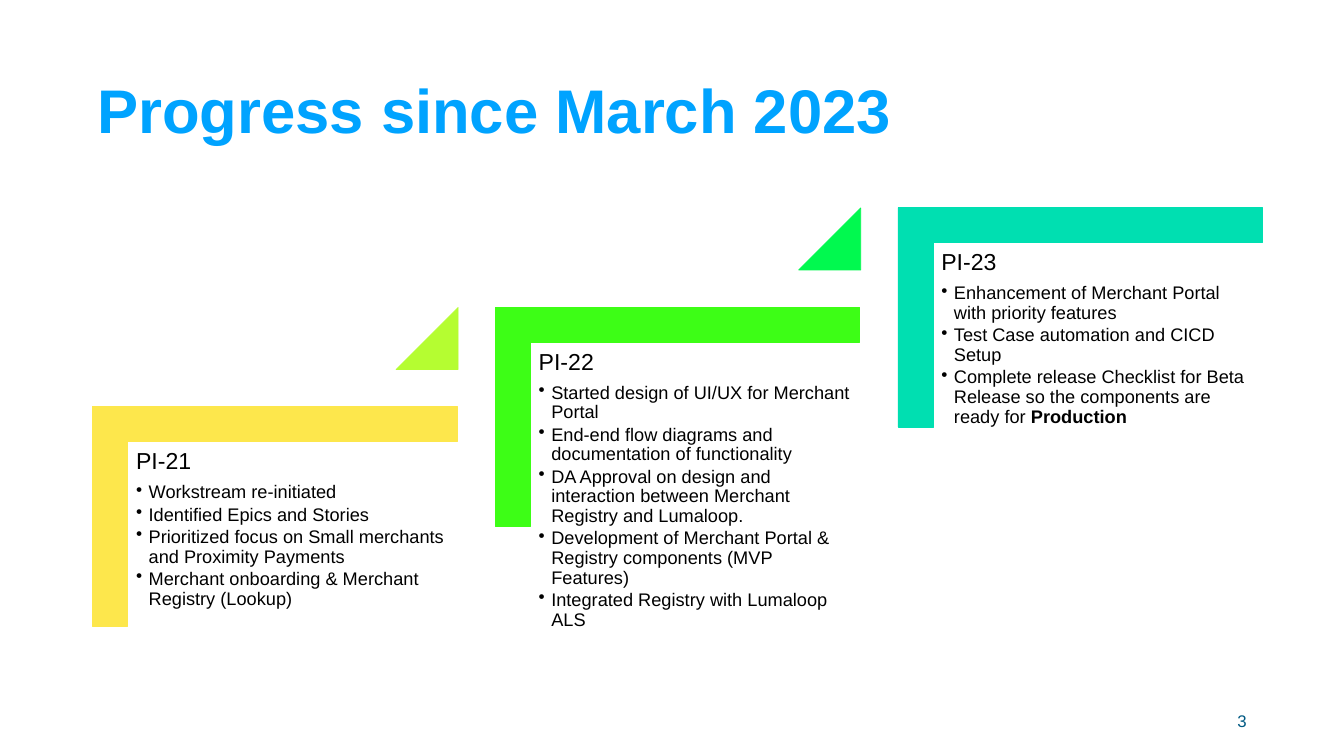
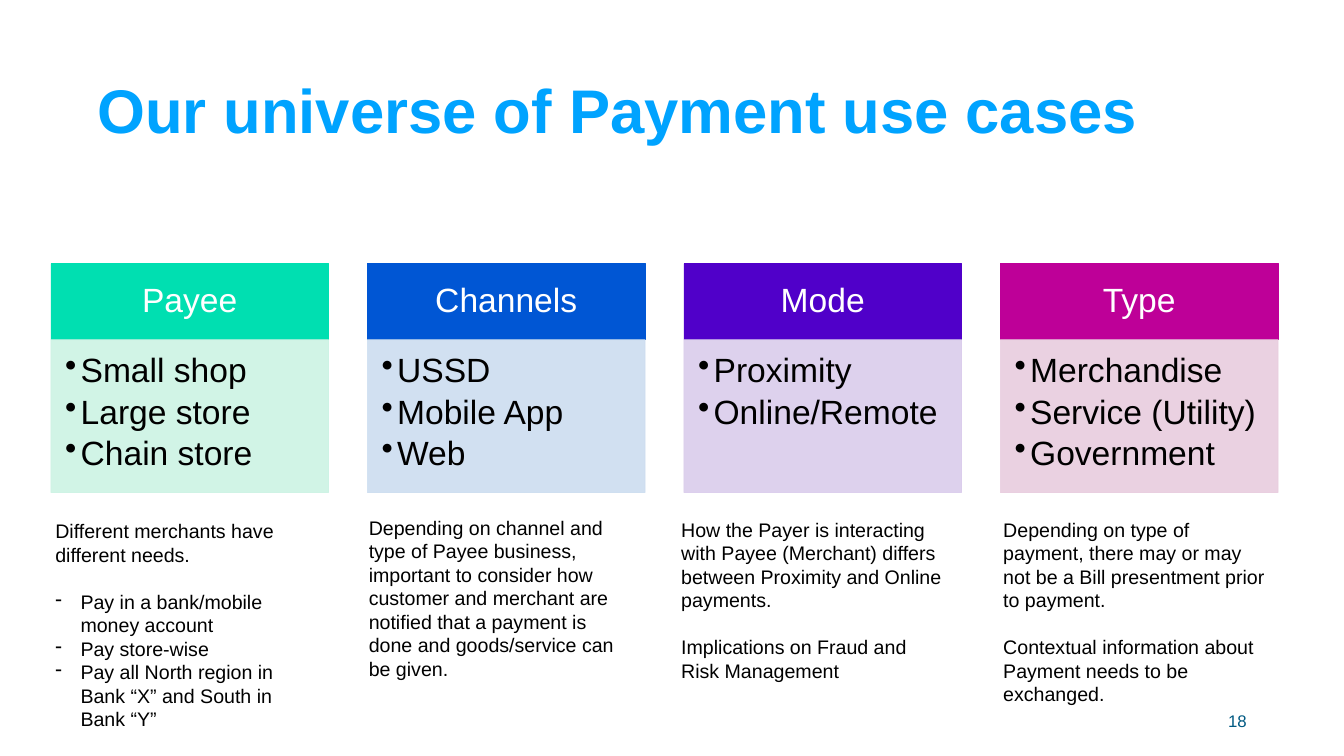
from lxml import etree
from pptx import Presentation
from pptx.dml.color import RGBColor
from pptx.enum.shapes import MSO_SHAPE
from pptx.enum.text import MSO_ANCHOR, MSO_AUTO_SIZE, PP_ALIGN
from pptx.oxml.ns import qn
from pptx.util import Pt

LEFT, CENTER, RIGHT = PP_ALIGN.LEFT, PP_ALIGN.CENTER, PP_ALIGN.RIGHT
TOP, MIDDLE = MSO_ANCHOR.TOP, MSO_ANCHOR.MIDDLE
RECT, CORNER = MSO_SHAPE.RECTANGLE, MSO_SHAPE.CORNER
TRIANGLE = MSO_SHAPE.ISOSCELES_TRIANGLE
FIXED, GROW = MSO_AUTO_SIZE.NONE, MSO_AUTO_SIZE.SHAPE_TO_FIT_TEXT

FONT = "Arial"
BLACK = RGBColor(0x00, 0x00, 0x00)
WHITE = RGBColor(0xFF, 0xFF, 0xFF)
SKY = RGBColor(0x00, 0xA3, 0xFF)
NAVY = RGBColor(0x00, 0x5A, 0x83)
YELLOW = RGBColor(0xFD, 0xE7, 0x4C)
LIME = RGBColor(0xB5, 0xFD, 0x31)
GREEN = RGBColor(0x3D, 0xFE, 0x16)
JADE = RGBColor(0x01, 0xF9, 0x4F)
TEAL = RGBColor(0x00, 0xDF, 0xB1)
BLUE = RGBColor(0x00, 0x56, 0xD4)
VIOLET = RGBColor(0x50, 0x00, 0xC9)
PINK = RGBColor(0xBE, 0x00, 0x98)
PALE_TEAL = RGBColor(0xCC, 0xF3, 0xE4)
PALE_BLUE = RGBColor(0xCC, 0xDD, 0xF0)
PALE_VIOLET = RGBColor(0xDA, 0xCC, 0xEC)
PALE_PINK = RGBColor(0xE8, 0xCC, 0xDE)

# Steps: heading, corner colour, triangle colour, list items
STEPS = [
    ("PI-21", YELLOW, LIME, [
        ["Workstream re-initiated"],
        ["Identified Epics and Stories"],
        ["Prioritized focus on Small merchants and Proximity Payments"],
        ["Merchant onboarding & Merchant Registry (Lookup)"]]),
    ("PI-22", GREEN, JADE, [
        ["Started design of UI/UX for Merchant Portal"],
        ["End-end flow diagrams and documentation of functionality"],
        ["DA Approval on design and interaction between Merchant "
         "Registry and Lumaloop."],
        ["Development of Merchant Portal & Registry components "
         "(MVP Features)"],
        ["Integrated Registry with Lumaloop ALS"]]),
    ("PI-23", TEAL, None, [
        ["Enhancement of Merchant Portal with priority features"],
        ["Test Case automation and CICD Setup"],
        ["Complete release Checklist for Beta Release so the components "
         "are ready for ", "Production"]]),
]
STEP_X, STEP_Y = 132.3, 581
STEP_DX, STEP_DY = 575.3, -142.2
CORNER_W, CORNER_H = 520.6, 313.2

# Cases: heading, head colour, body colour, list items
CASES = [
    ("Payee", TEAL, PALE_TEAL, ["Small shop", "Large store", "Chain store"]),
    ("Channels", BLUE, PALE_BLUE, ["USSD", "Mobile App", "Web"]),
    ("Mode", VIOLET, PALE_VIOLET, ["Proximity", "Online/Remote"]),
    ("Type", PINK, PALE_PINK,
     ["Merchandise", "Service (Utility)", "Government"]),
]
CASE_X, CASE_Y, CASE_DX, CASE_W = 72.7, 376.6, 452.2, 396.7
HEAD_H, BODY_H = 108.7, 218.2

# Notes: left, top, height, paragraphs, dash items
NOTES = [
    (72, 738, 312.5, ["Different merchants have different needs."],
     ["Pay in a bank/mobile money account", "Pay store-wise",
      "Pay all North region in Bank “X” and South in Bank “Y”"]),
    (519.8, 733, 244.8,
     ["Depending on channel and type of Payee business, important to "
      "consider how customer and merchant are notified that a payment is "
      "done and goods/service can be given."], []),
    (966.2, 735.8, 244.8,
     ["How the Payer is interacting with Payee (Merchant) differs between "
      "Proximity and Online payments.",
      "Implications on Fraud and Risk Management"], []),
    (1426.3, 735.8, 278.6,
     ["Depending on type of payment, there may or may not be a Bill "
      "presentment prior to payment.",
      "Contextual information about Payment needs to be exchanged."], []),
]
NOTE_W, NOTE_GAP = 388.1, 33.7


def place(shape, x, y, w, h):
    shape.left, shape.top = Pt(x), Pt(y)
    shape.width, shape.height = Pt(w), Pt(h)


def frame(shape, inset=(7.2, 3.6, 7.2, 3.6), anchor=TOP, fit=FIXED):
    """Set up the text frame; inset is left, top, right, bottom."""
    text = shape.text_frame
    text.word_wrap = True
    text.auto_size = fit
    text.vertical_anchor = anchor
    (text.margin_left, text.margin_top,
     text.margin_right, text.margin_bottom) = map(Pt, inset)
    return text


def para(text, runs, size, color=BLACK, align=LEFT, lines=1.0,
         before=0, after=0, bullet=None, indent=0):
    """Add a paragraph of runs, filling the first one if still empty."""
    first = text.paragraphs[0]
    item = text.add_paragraph() if first.runs else first
    item.alignment = align
    item.line_spacing = lines
    item.space_before, item.space_after = Pt(before), Pt(after)
    for words in runs:
        run = item.add_run()
        run.text = words
        run.font.name, run.font.size = FONT, Pt(size)
        run.font.color.rgb = color
    if bullet:
        props = item._p.get_or_add_pPr()
        props.set("marL", str(Pt(indent)))
        props.set("indent", str(-Pt(indent)))
        etree.SubElement(props, qn("a:buChar")).set("char", bullet)
    return item


def block(slide, kind, x, y, w, h, color, alpha=None):
    shape = slide.shapes.add_shape(kind, Pt(x), Pt(y), Pt(w), Pt(h))
    shape.shadow.inherit = False
    shape.fill.solid()
    shape.fill.fore_color.rgb = color
    shape.line.color.rgb = color
    shape.line.width = Pt(1)
    if alpha:
        for tint in shape._element.spPr.iter(qn("a:srgbClr")):
            etree.SubElement(tint, qn("a:alpha")).set("val", str(alpha * 1000))
    return shape


def label(slide, x, y, w, h, **setup):
    box = slide.shapes.add_textbox(Pt(x), Pt(y), Pt(w), Pt(h))
    return frame(box, **setup)


def page(deck, title, number):
    """Add a slide with its title and page number."""
    slide = deck.slides.add_slide(deck.slide_layouts[5])
    head = slide.shapes.title
    place(head, 131.8, 57.6, 1503.4, 208.8)
    line = para(frame(head, anchor=MIDDLE), [title], 88, SKY, lines=0.9)
    line.runs[0].font.bold = True
    foot = label(slide, 1356.5, 1000.8, 432, 57.6, anchor=MIDDLE)
    para(foot, [number], 24, NAVY, RIGHT)
    return slide


def step(slide, index, name, color, accent, items):
    x, y = STEP_X + index * STEP_DX, STEP_Y + index * STEP_DY
    # A quarter turn swaps width and height around the centre.
    shift = (CORNER_W - CORNER_H) / 2
    angle = block(slide, CORNER, x + shift, y - shift,
                  CORNER_H, CORNER_W, color)
    angle.rotation = 90
    angle.adjustments[0] = angle.adjustments[1] = 0.16
    text = label(slide, x + 52, y + 51.8, 470.2, 411.8, inset=(10.1,) * 4)
    para(text, [name], 33, lines=0.9, after=11.55)
    for runs in items:
        item = para(text, runs, 26, lines=0.9, after=3.9,
                    bullet="•", indent=18)
        for run in item.runs[1:]:
            run.font.bold = True
    if accent:
        mark = block(slide, TRIANGLE, x + 433.6, y - 141.8, 88.6, 88.6, accent)
        mark.adjustments[0] = 1


def case(slide, index, name, color, pale, items):
    x = CASE_X + index * CASE_DX
    head = block(slide, RECT, x, CASE_Y, CASE_W, HEAD_H, color)
    text = frame(head, (26.6, 15.1, 26.6, 15.1), MIDDLE)
    para(text, [name], 48, WHITE, CENTER, lines=0.9)
    body = block(slide, RECT, x, CASE_Y + HEAD_H, CASE_W, BODY_H, pale, 90)
    text = frame(body, (20.2, 20.2, 26.6, 30.2))
    for words in items:
        para(text, [words], 48, lines=0.9, after=7.2, bullet="•", indent=22.3)


def note(slide, x, y, h, parts, dashes):
    text = label(slide, x, y, NOTE_W, h, fit=GROW)
    for i, words in enumerate(parts):
        para(text, [words], 28, before=NOTE_GAP if i else 0)
    for i, words in enumerate(dashes):
        para(text, [words], 28, before=0 if i else NOTE_GAP,
             bullet="-", indent=36)


def main():
    deck = Presentation()
    deck.slide_width, deck.slide_height = Pt(1920.24), Pt(1080)

    slide = page(deck, "Progress since March 2023", "3")
    for i, row in enumerate(STEPS):
        step(slide, i, *row)

    slide = page(deck, "Our universe of Payment use cases", "18")
    for i, row in enumerate(CASES):
        case(slide, i, *row)
    for row in NOTES:
        note(slide, *row)

    deck.save("out.pptx")


if __name__ == "__main__":
    main()
